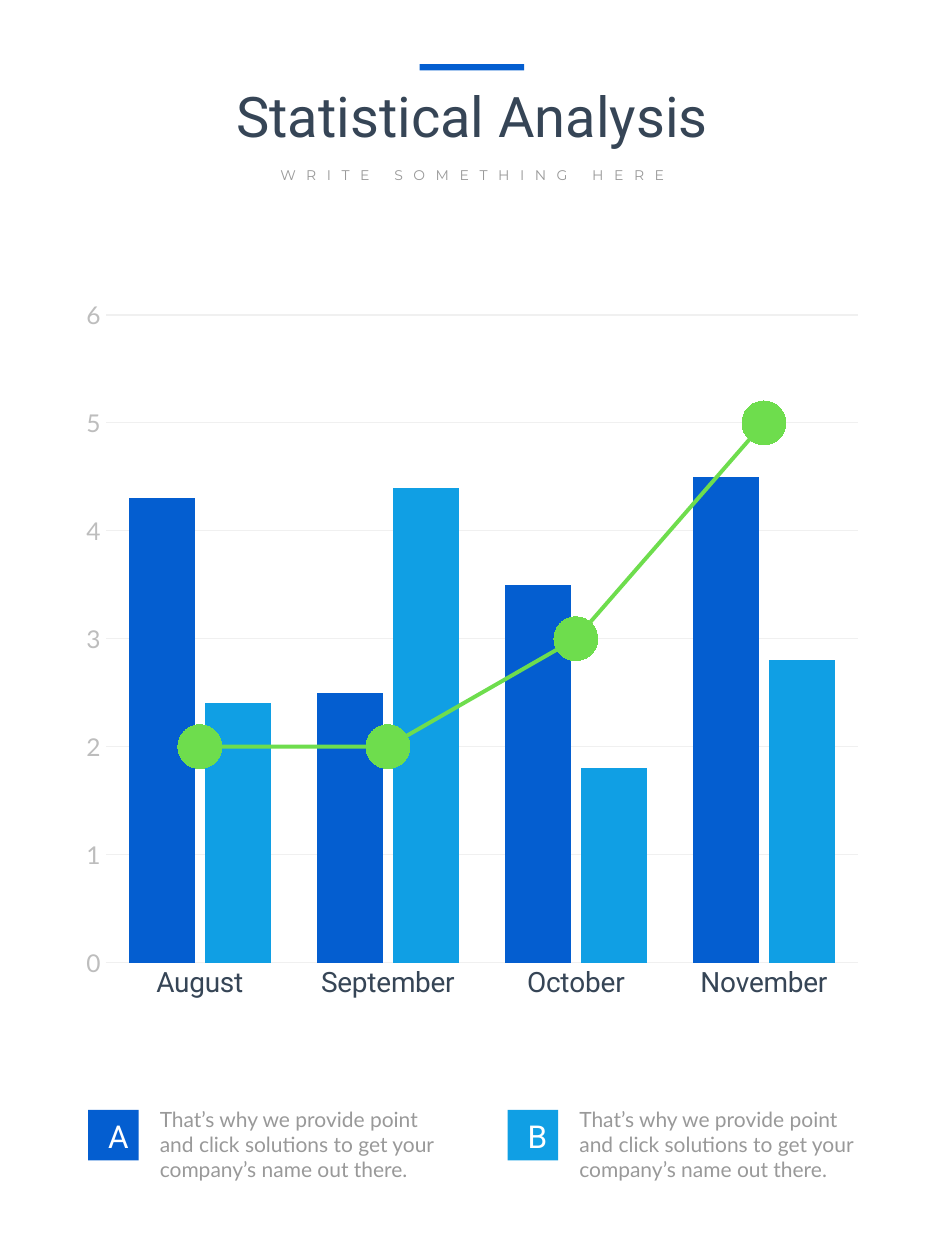
from pptx import Presentation
from pptx.chart.data import CategoryChartData
from pptx.dml.color import RGBColor
from pptx.enum.chart import XL_CHART_TYPE, XL_MARKER_STYLE, XL_TICK_MARK
from pptx.enum.shapes import MSO_SHAPE
from pptx.enum.text import MSO_AUTO_SIZE, PP_ALIGN
from pptx.oxml import parse_xml
from pptx.oxml.ns import nsdecls
from pptx.util import Pt

PX = 9144  # 100 px to the inch
RECT = MSO_SHAPE.RECTANGLE
LEFT, CENTER = PP_ALIGN.LEFT, PP_ALIGN.CENTER
NO_TICK = XL_TICK_MARK.NONE
CIRCLE = XL_MARKER_STYLE.CIRCLE

COLORS = {
    "blue": "045ED0", "sky": "109FE4", "green": "6EDD4D", "ink": "364556",
    "gray": "999999", "silver": "BDBDBD", "grid": "F0F0F0", "white": "FFFFFF",
}
MONTHS = ["August", "September", "October", "November"]
SERIES = [
    ("Series 1", (4.3, 2.5, 3.5, 4.5), "blue"),
    ("Series 2", (2.4, 4.4, 1.8, 2.8), "sky"),
    ("Series 3", (2, 2, 3, 5), "green"),
]
KEY_TEXT = ("That’s why we provide point and click solutions "
            "to get your company’s name out there.")


def rgb(name):
    return RGBColor.from_string(COLORS[name])


def px(*lengths):
    return [n * PX for n in lengths]


def set_font(font, face, size, color):
    font.name, font.size = face, Pt(size)
    font.color.rgb = rgb(color)


def add_rect(shapes, box, color):
    sp = shapes.add_shape(RECT, *px(*box))
    sp.shadow.inherit = False
    sp.fill.solid()
    sp.fill.fore_color.rgb = rgb(color)
    sp.line.fill.background()


def add_text(shapes, box, text, face, size, color, align=LEFT):
    tf = shapes.add_textbox(*px(*box)).text_frame
    tf.word_wrap = True
    tf.auto_size = MSO_AUTO_SIZE.SHAPE_TO_FIT_TEXT
    p = tf.paragraphs[0]
    p.text = text
    p.alignment = align
    r = p.runs[0]
    set_font(r.font, face, size, color)
    return r


def add_header(s, x, y, w):
    """Accent bar, title and spaced subtitle, centred in the width."""
    shapes = s.shapes.add_group_shape().shapes
    add_text(shapes, (x, y + 9, w, 64), "Statistical Analysis",
             "Roboto", 32, "ink", CENTER)
    r = add_text(shapes, (x + 46, y + 76, w - 92, 24), "WRITE SOMETHING HERE",
                 "Montserrat", 8, "gray", CENTER)
    r.font._element.set("spc", "600")
    add_rect(shapes, (x + (w - 83) // 2, y, 83, 5), "blue")


def move_last_series_to_line(chart):
    """Turn the last column series into a line on the same axes."""
    bar = chart.plots[0]._element
    ser = bar.xpath("c:ser")[-1]
    for el in ser.xpath("c:invertIfNegative"):
        ser.remove(el)
    ids = "".join(f'<c:axId val="{el.get("val")}"/>' for el in bar.xpath("c:axId"))
    line = parse_xml(
        f'<c:lineChart {nsdecls("c")}><c:grouping val="standard"/>'
        f'<c:varyColors val="0"/><c:marker val="1"/>{ids}</c:lineChart>')
    line.insert(2, ser)
    bar.addnext(line)


def set_plot_layout(chart, x, y, w, h):
    """Fix the inner plot area, as fractions of the chart."""
    area = chart.plots[0]._element.getparent()
    for el in area.xpath("c:layout"):
        area.remove(el)
    sizes = "".join(f'<c:{tag} val="{v}"/>' for tag, v in zip("xywh", (x, y, w, h)))
    area.insert(0, parse_xml(
        f'<c:layout {nsdecls("c")}><c:manualLayout><c:layoutTarget val="inner"/>'
        f'<c:xMode val="edge"/><c:yMode val="edge"/>{sizes}'
        f'</c:manualLayout></c:layout>'))


def add_month_chart(s, x, y, w, h):
    data = CategoryChartData()
    data.categories = MONTHS
    for name, values, _ in SERIES:
        data.add_series(name, values)
    chart = s.shapes.add_chart(XL_CHART_TYPE.COLUMN_CLUSTERED,
                               *px(x, y, w, h), data).chart
    chart.has_legend = False
    chart.has_title = False
    set_font(chart.font, "Lato", 20, "gray")
    move_last_series_to_line(chart)
    set_plot_layout(chart, 28 / w, 24 / h, 597 / w, 514 / h)

    # Columns
    columns, trend = chart.plots
    columns.gap_width, columns.overlap = 71, -16
    columns.vary_by_categories = False
    for ser, (_, _, color) in zip(columns.series, SERIES):
        ser.format.fill.solid()
        ser.format.fill.fore_color.rgb = rgb(color)

    # Line with round markers
    ser, color = trend.series[0], rgb(SERIES[-1][2])
    ser.smooth = False
    ser.format.line.width = Pt(2.25)
    ser.format.line.color.rgb = color
    ser.marker.style, ser.marker.size = CIRCLE, 25
    ser.marker.format.fill.solid()
    ser.marker.format.fill.fore_color.rgb = color
    ser.marker.format.line.color.rgb = color

    # Axes
    months, values = chart.category_axis, chart.value_axis
    values.minimum_scale, values.maximum_scale, values.major_unit = 0, 6, 1
    values.has_major_gridlines = True
    values.format.line.fill.background()
    for line in (months.format.line, values.major_gridlines.format.line):
        line.width = Pt(0.75)
        line.color.rgb = rgb("grid")
    for axis in (months, values):
        axis.major_tick_mark = axis.minor_tick_mark = NO_TICK
    set_font(months.tick_labels.font, "Roboto", 16, "ink")
    set_font(values.tick_labels.font, "Lato", 14, "silver")


def add_key(s, x, y, letter, color):
    """Lettered square with a short text to its right."""
    shapes = s.shapes.add_group_shape().shapes
    add_rect(shapes, (x, y + 8, 40, 40), color)
    add_text(shapes, (x + 6, y + 9, 26, 40), letter, "Roboto", 18, "white", CENTER)
    add_text(shapes, (x + 47, y, 244, 71), KEY_TEXT, "Lato", 12, "gray")


def main():
    prs = Presentation()
    prs.slide_width, prs.slide_height = px(750, 1000)
    s = prs.slides.add_slide(prs.slide_layouts[6])
    add_header(s, 158, 51, 434)
    add_month_chart(s, 56, 226, 638, 579)
    for i, (letter, color) in enumerate([("A", "blue"), ("B", "sky")]):
        add_key(s, 70 + i * 333, 873, letter, color)
    prs.save("out.pptx")


if __name__ == "__main__":
    main()
